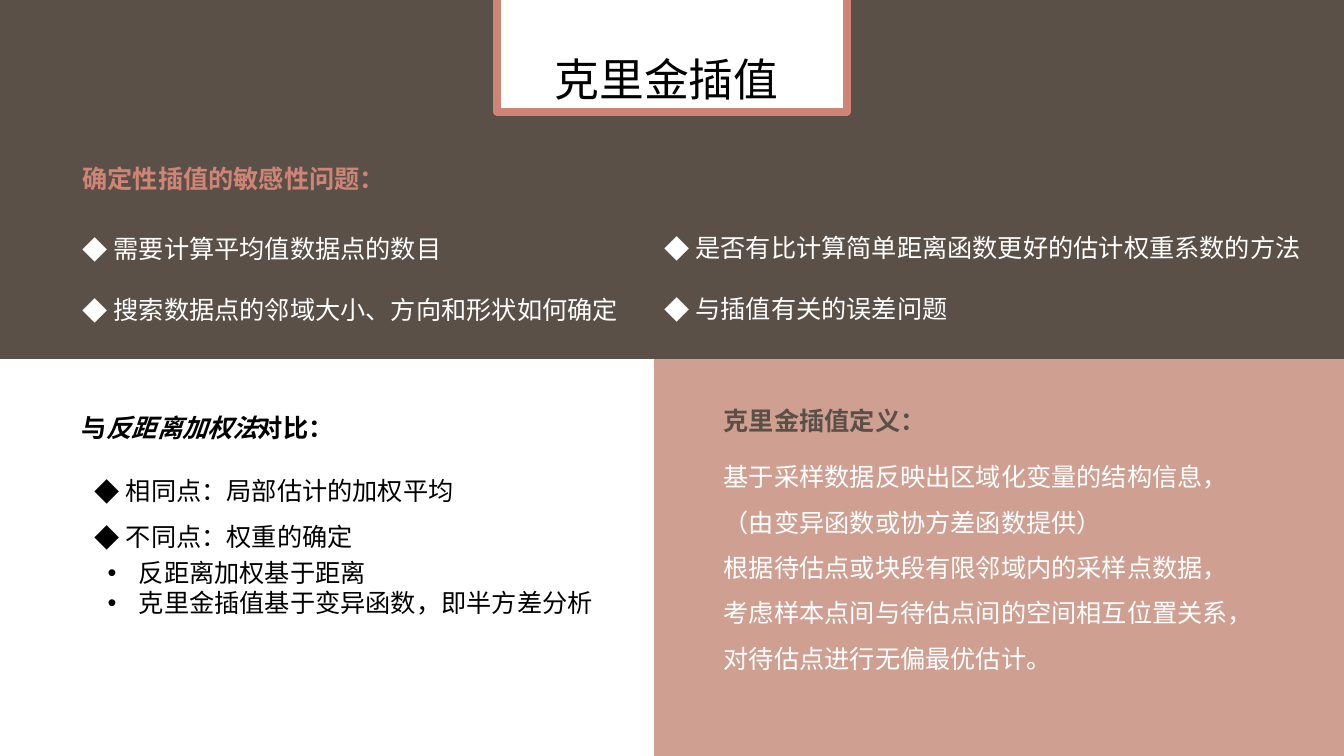
from pptx import Presentation
from pptx.dml.color import RGBColor
from pptx.enum.shapes import MSO_SHAPE
from pptx.enum.text import MSO_AUTO_SIZE
from pptx.oxml.ns import qn
from pptx.util import Inches, Pt
from lxml.etree import SubElement

WHITE = RGBColor(0xFF, 0xFF, 0xFF)
BLACK = RGBColor(0x00, 0x00, 0x00)
BROWN = RGBColor(0x5B, 0x50, 0x47)
ROSE = RGBColor(0xCF, 0xA0, 0x91)
CORAL = RGBColor(0xCE, 0x85, 0x76)
CJK_FONT = "Noto Sans CJK SC"
DIAMOND = "◆"
DOT = "•"


class SlideBuilder:
    """Holds the text style and the slide being filled."""

    def __init__(self, slide):
        self.slide = slide
        self.style = {"name": CJK_FONT, "size": Pt(18)}
        self.indent = Inches(0.31)

    def panel(self, box, fill, kind=MSO_SHAPE.FLOWCHART_PROCESS, border=None):
        shape = self.slide.shapes.add_shape(kind, *map(Inches, box))
        shape.shadow.inherit = False
        shape.fill.solid()
        shape.fill.fore_color.rgb = fill
        if border:
            shape.line.color.rgb = border
            shape.line.width = Pt(5.5)
        else:
            shape.line.fill.background()

    def text(self, box, lines, color, bullet=None, spacing=None, wrap=True, **formats):
        """Each line is a string or a list of (text, formats) runs."""
        frame = self.slide.shapes.add_textbox(*map(Inches, box)).text_frame
        frame.word_wrap = wrap
        frame.auto_size = MSO_AUTO_SIZE.SHAPE_TO_FIT_TEXT
        for index, line in enumerate(lines):
            paragraph = frame.add_paragraph() if index else frame.paragraphs[0]
            if spacing:
                paragraph.line_spacing = spacing
            if bullet:
                self.bullet(paragraph, bullet)
            runs = [(line, {})] if isinstance(line, str) else line
            for content, extra in runs:
                self.run(paragraph, content, color, {**self.style, **formats, **extra})

    def run(self, paragraph, content, color, formats):
        run = paragraph.add_run()
        run.text = content
        run.font.color.rgb = color
        for key, value in formats.items():
            setattr(run.font, key, value)
        east_asian = SubElement(run.font._element, qn("a:ea"))
        east_asian.set("typeface", CJK_FONT)

    def bullet(self, paragraph, character):
        properties = paragraph._p.get_or_add_pPr()
        properties.set("marL", str(self.indent))
        properties.set("indent", str(-self.indent))
        typeface = "Arial" if character == DOT else CJK_FONT
        SubElement(properties, qn("a:buFont")).set("typeface", typeface)
        SubElement(properties, qn("a:buChar")).set("char", character)


def main():
    presentation = Presentation()
    presentation.slide_width = Inches(13.33)
    presentation.slide_height = Inches(7.5)
    builder = SlideBuilder(presentation.slides.add_slide(presentation.slide_layouts[6]))

    # Background panels and title
    builder.panel((6.49, 3.56, 6.84, 3.94), ROSE)
    builder.panel((-0.03, 0, 13.36, 3.56), BROWN)
    builder.panel((4.93, -0.6, 3.47, 1.71), WHITE, MSO_SHAPE.RECTANGLE, CORAL)
    builder.text((5.4, 0.46, 3.01, 0.64), ["克里金插值"], BLACK, size=Pt(32))

    # Sensitivity questions
    builder.text((0.72, 1.57, 3.23, 0.4), ["确定性插值的敏感性问题："], CORAL,
                 wrap=False, bold=True)
    builder.text((0.72, 1.97, 5.77, 1.23),
                 ["需要计算平均值数据点的数目", "搜索数据点的邻域大小、方向和形状如何确定"],
                 WHITE, DIAMOND, 2.0)
    builder.text((6.49, 1.96, 6.67, 1.23),
                 ["是否有比计算简单距离函数更好的估计权重系数的方法", "与插值有关的误差问题"],
                 WHITE, DIAMOND, 2.0)

    # Comparison with inverse distance weighting
    builder.text((0.71, 4.04, 2.73, 0.4),
                 [[("与", {}), ("反距离加权法", {"italic": True}), ("对比：", {})]],
                 BLACK, wrap=False, bold=True)
    builder.text((0.84, 4.52, 4.21, 1.01),
                 ["相同点：局部估计的加权平均", "不同点：权重的确定"], BLACK, DIAMOND, 1.5)
    builder.text((0.97, 5.48, 5.24, 0.71),
                 ["反距离加权基于距离", "克里金插值基于变异函数，即半方差分析"], BLACK, DOT)

    # Definition of kriging
    builder.text((7.08, 3.97, 2.22, 0.4), ["克里金插值定义："], BROWN,
                 wrap=False, bold=True, name="Calibri")
    builder.text((7.08, 4.38, 5.48, 2.32),
                 ["基于采样数据反映出区域化变量的结构信息，",
                  "（由变异函数或协方差函数提供）",
                  "根据待估点或块段有限邻域内的采样点数据，",
                  "考虑样本点间与待估点间的空间相互位置关系，",
                  "对待估点进行无偏最优估计。"],
                 WHITE, spacing=1.5, name="Calibri")

    presentation.save("out.pptx")


if __name__ == "__main__":
    main()
